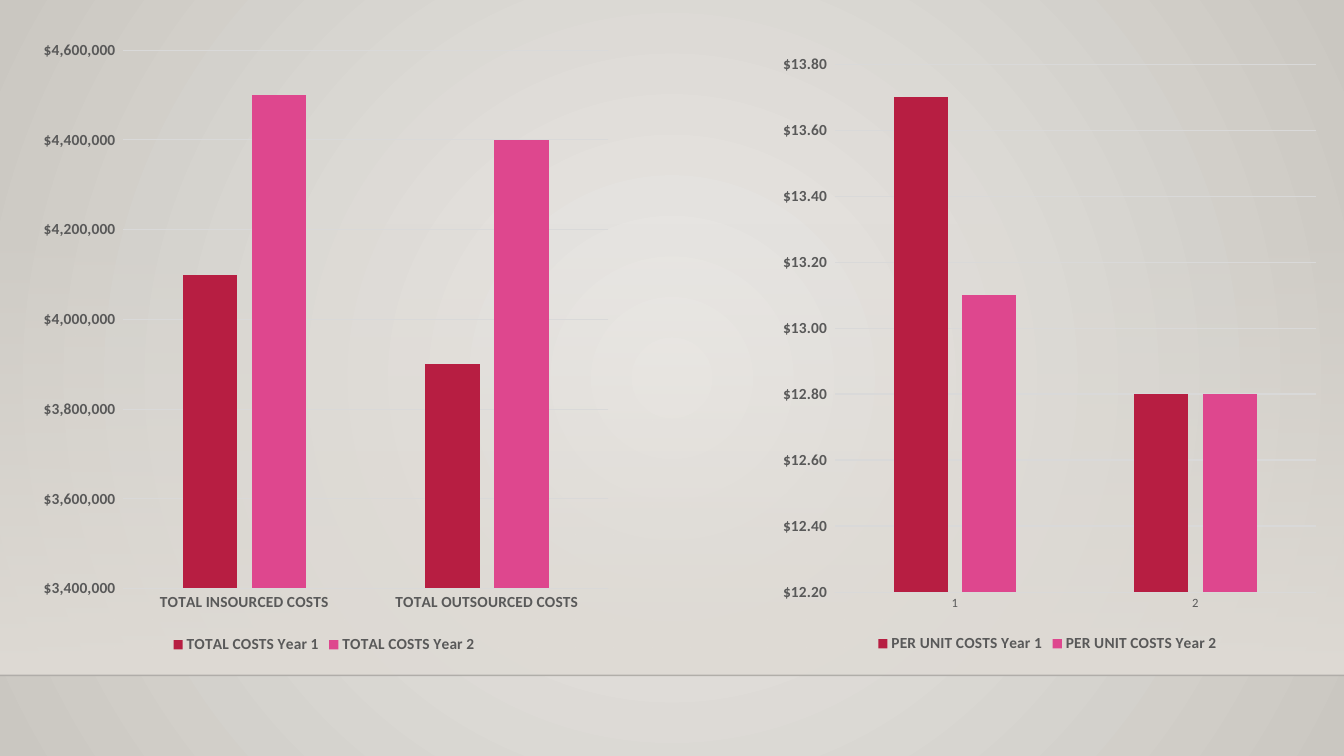
import pptx
import pptx.chart.data
import pptx.dml.color
import pptx.enum.chart
import pptx.enum.shapes
import pptx.oxml
import pptx.oxml.ns
import pptx.util

WIDTH, HEIGHT = 13.33, 7.5
FLOOR = 6.7
GREY, GRID = "595959", "D9D9D9"
YEAR_COLORS = ("B71E42", "DE478E")
DOLLARS = r"_([$$-409]* {0}_);_([$$-409]* \({0}\)"
inch = pptx.util.Inches


def rgb(color):
    return pptx.dml.color.RGBColor.from_string(color)


def gradient_xml(stops, direction):
    """Gradient fill from (position, colour, opacity) stops, in percent."""
    marks = "".join(
        f'<a:gs pos="{pos * 1000}"><a:srgbClr val="{color}">'
        f'<a:alpha val="{opacity * 1000}"/></a:srgbClr></a:gs>'
        for pos, color, opacity in stops)
    return (f'<a:gradFill {pptx.oxml.ns.nsdecls("a")} rotWithShape="1">'
            f"<a:gsLst>{marks}</a:gsLst>{direction}</a:gradFill>")


def paint_background(slide):
    center = ('<a:path path="circle"><a:fillToRect l="50000" t="50000" '
              'r="50000" b="50000"/></a:path>')
    fill = gradient_xml([(0, "ECEAE7", 100), (100, "CAC7C1", 100)], center)
    slide._element.cSld.insert(0, pptx.oxml.parse_xml(
        f'<p:bg {pptx.oxml.ns.nsdecls("p", "a")}><p:bgPr>{fill}'
        "<a:effectLst/></p:bgPr></p:bg>"))


def add_wall(slide, top):
    wall = slide.shapes.add_shape(
        pptx.enum.shapes.MSO_SHAPE.RECTANGLE,
        0, inch(top), inch(WIDTH), inch(FLOOR - top))
    wall.shadow.inherit = False
    wall.line.fill.background()
    fade = gradient_xml([(0, "DFDBD5", 0), (100, "DFDBD5", 100)],
                        '<a:lin ang="5400000" scaled="0"/>')
    geometry = wall._element.spPr.find(pptx.oxml.ns.qn("a:prstGeom"))
    geometry.addnext(pptx.oxml.parse_xml(fade))


def add_floor_line(slide):
    edge = slide.shapes.add_connector(
        pptx.enum.shapes.MSO_CONNECTOR.STRAIGHT,
        0, inch(FLOOR), inch(WIDTH), inch(FLOOR))
    edge.line.width = pptx.util.Pt(1)
    edge.line.color.rgb = rgb("000001")
    properties = edge._element.spPr
    color = properties.find(".//" + pptx.oxml.ns.qn("a:srgbClr"))
    color.append(pptx.oxml.parse_xml(
        f'<a:alpha {pptx.oxml.ns.nsdecls("a")} val="20000"/>'))
    properties.append(pptx.oxml.parse_xml(
        f'<a:effectLst {pptx.oxml.ns.nsdecls("a")}/>'))


def style_font(font, size, color=GREY, bold=True):
    font.name = "Calibri"
    font.size = pptx.util.Pt(size)
    font.bold = bold
    font.color.rgb = rgb(color)


def style_rule(line):
    line.color.rgb = rgb(GRID)
    line.width = pptx.util.Pt(0.75)


def add_cost_chart(slide, box, categories, series, digits, scale, small_labels=False):
    data = pptx.chart.data.CategoryChartData()
    data.categories = categories
    for name, values in series:
        data.add_series(name, values)
    chart = slide.shapes.add_chart(
        pptx.enum.chart.XL_CHART_TYPE.COLUMN_CLUSTERED,
        *map(inch, box), data).chart
    style_font(chart.font, 10, "000000", False)
    chart.has_title = False

    # Columns
    plot = chart.plots[0]
    plot.gap_width, plot.overlap = 219, -27
    plot.vary_by_categories = False
    for columns, color in zip(plot.series, YEAR_COLORS):
        columns.format.fill.solid()
        columns.format.fill.fore_color.rgb = rgb(color)

    # Axes
    costs, groups = chart.value_axis, chart.category_axis
    for axis in (costs, groups):
        axis.major_tick_mark = pptx.enum.chart.XL_TICK_MARK.NONE
        axis.minor_tick_mark = pptx.enum.chart.XL_TICK_MARK.NONE
    style_font(costs.tick_labels.font, 11)
    style_font(groups.tick_labels.font, 9 if small_labels else 11,
               bold=not small_labels)
    costs.minimum_scale, costs.maximum_scale, costs.major_unit = scale
    costs.tick_labels.number_format = DOLLARS.format(digits)
    costs.tick_labels.number_format_is_linked = False
    costs.format.line.fill.background()
    style_rule(costs.major_gridlines.format.line)
    style_rule(groups.format.line)

    # Legend
    chart.has_legend = True
    chart.legend.position = pptx.enum.chart.XL_LEGEND_POSITION.BOTTOM
    chart.legend.include_in_layout = False
    style_font(chart.legend.font, 11)


def main():
    deck = pptx.Presentation()
    deck.slide_width, deck.slide_height = inch(WIDTH), inch(HEIGHT)
    slide = deck.slides.add_slide(deck.slide_layouts[6])

    # Backdrop
    paint_background(slide)
    add_wall(slide, 2.21)
    add_floor_line(slide)

    # Total costs, then costs per unit
    add_cost_chart(
        slide, (0.28, 0.28, 5.87, 6.25),
        ["TOTAL INSOURCED COSTS", "TOTAL OUTSOURCED COSTS"],
        [("TOTAL COSTS Year 1", (4100000, 3900000)),
         ("TOTAL COSTS Year 2", (4500000, 4400000))],
        "#,##0", (3400000, 4600000, 200000))
    add_cost_chart(
        slide, (7.62, 0.42, 5.54, 6.1), ["1", "2"],
        [("PER UNIT COSTS Year 1", (13.7, 12.8)),
         ("PER UNIT COSTS Year 2", (13.1, 12.8))],
        "#,##0.00", (12.2, 13.8, 0.2), small_labels=True)

    deck.save("out.pptx")


if __name__ == "__main__":
    main()
